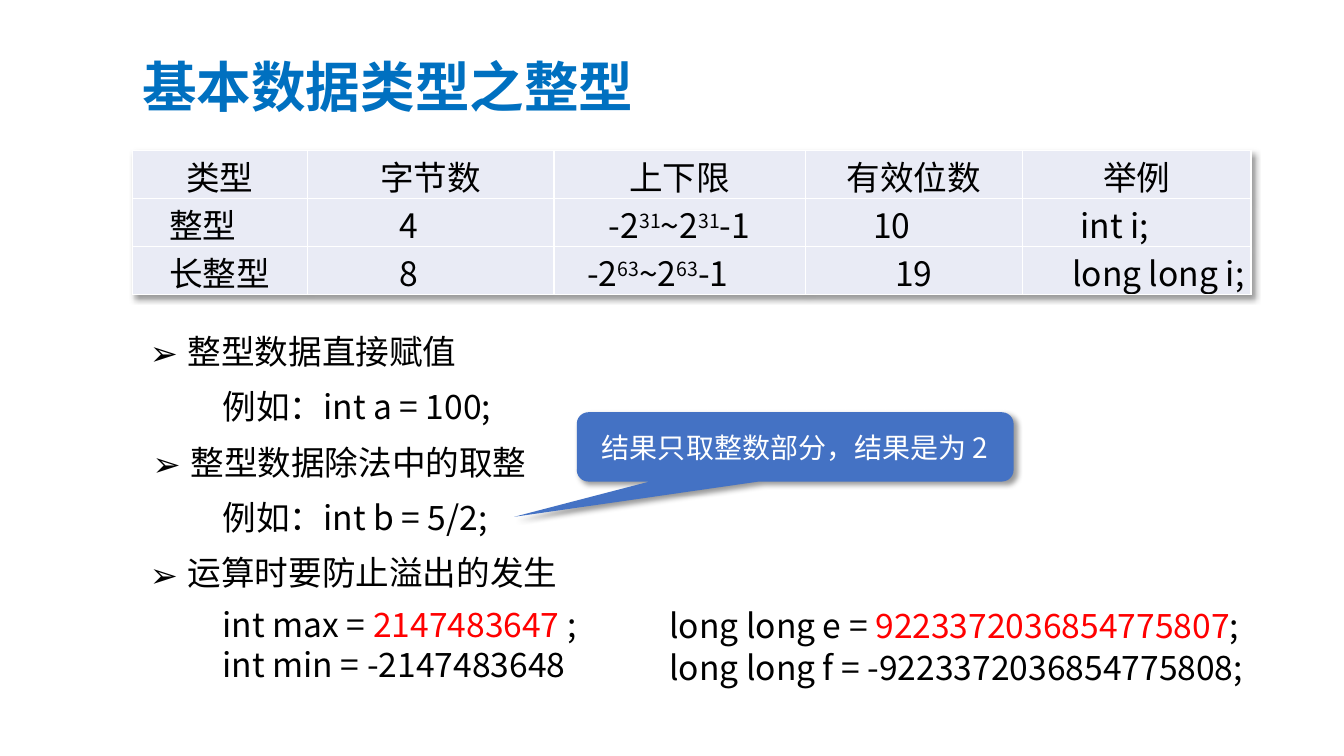
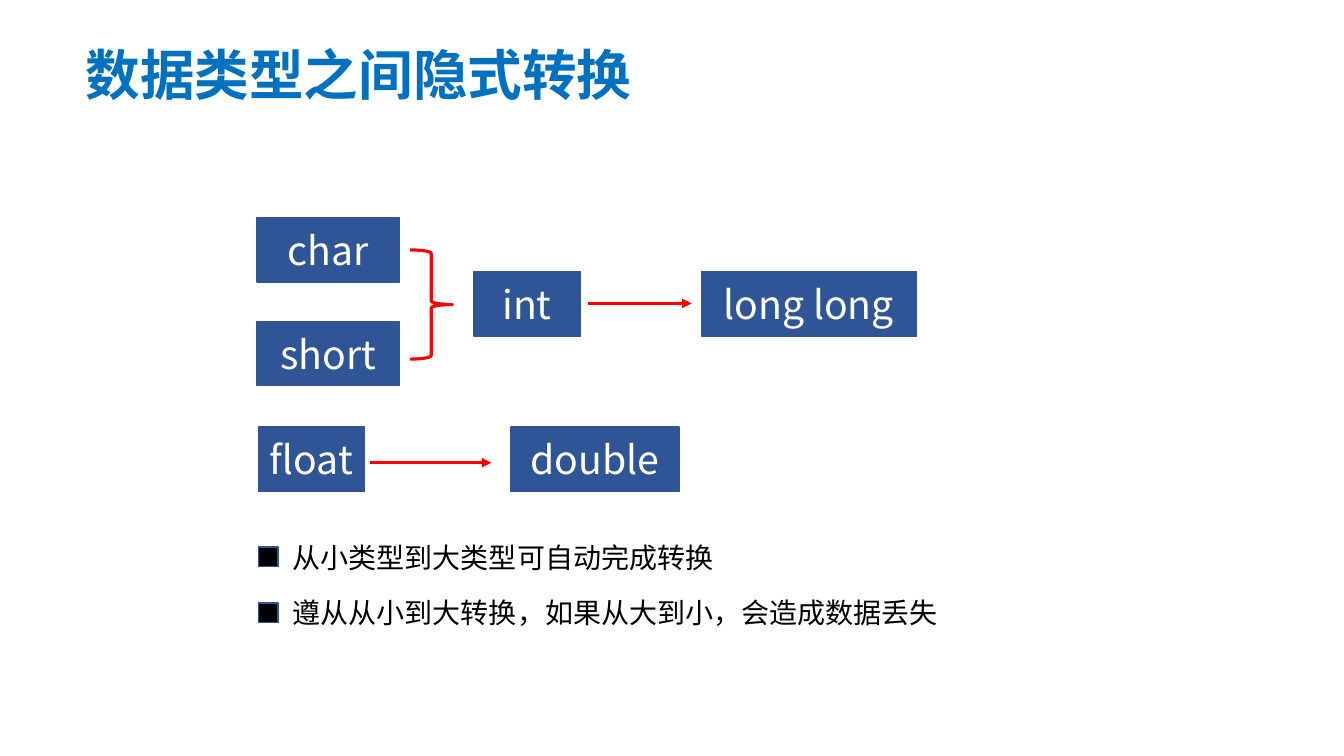
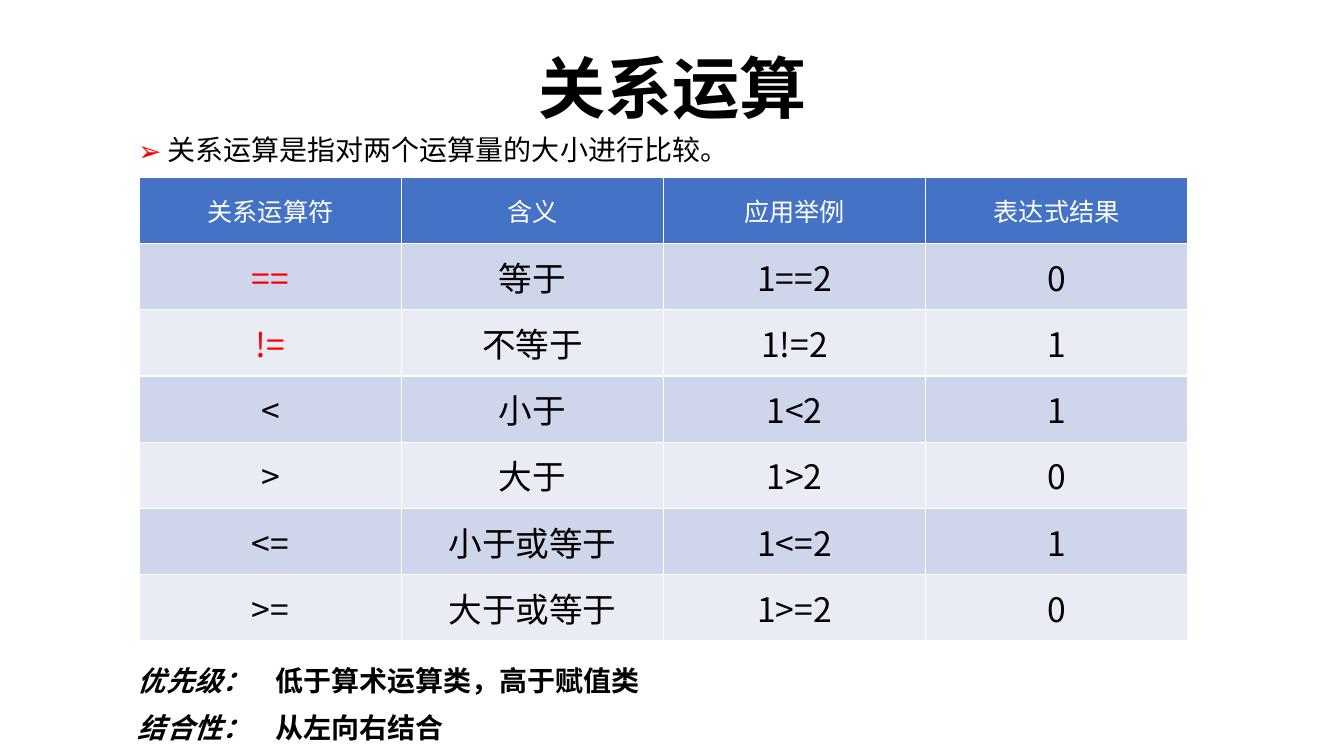
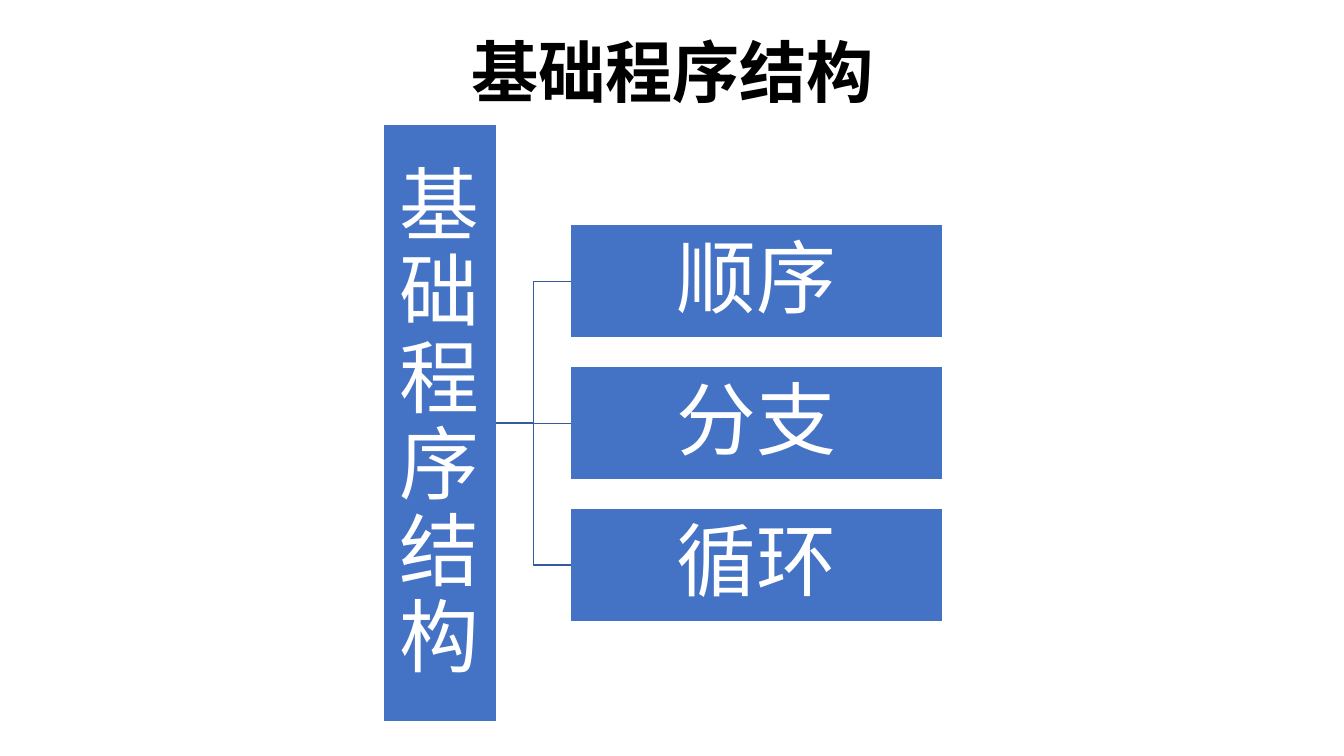
import pptx
import pptx.dml.color
import pptx.enum.shapes
import pptx.enum.text
import pptx.oxml
import pptx.oxml.ns
import pptx.util
from lxml import etree

Pt = pptx.util.Pt
MSO = pptx.enum.shapes.MSO_SHAPE
CONNECTOR = pptx.enum.shapes.MSO_CONNECTOR
ALIGN = pptx.enum.text.PP_ALIGN
ANCHOR = pptx.enum.text.MSO_ANCHOR
qn = pptx.oxml.ns.qn

SANS, HEADING = "Noto Sans CJK SC", "Noto Sans CJK JP"
BLACK, WHITE, RED = "000000", "FFFFFF", "FF0000"
TITLE_BLUE, BLUE, NAVY, EDGE = "0070C0", "4472C4", "2F5597", "325491"
LINK, BAND, PALE = "365B9D", "CFD5EA", "E9EBF5"


def rgb(value):
    return pptx.dml.color.RGBColor.from_string(value)


def sub(parent, tag, **attrs):
    return etree.SubElement(parent, qn(tag), attrs)


# ---- text ----
def style_run(r, size=24, color=BLACK, bold=False, italic=False, font=SANS, sup=False):
    f = r.font
    f.size, f.bold, f.italic, f.name = Pt(size), bold, italic, font
    f.color.rgb = rgb(color)
    rPr = f._element
    sub(rPr, "a:ea", typeface=font)
    if sup:
        rPr.set("baseline", "30000")


def fill_paragraph(p, content, align=ALIGN.LEFT, spacing=None, **style):
    """content is a string or a list of (text, style overrides)."""
    p.alignment = align
    if spacing:
        p.line_spacing = spacing
    runs = [(content, {})] if isinstance(content, str) else content
    for text, change in runs:
        r = p.add_run()
        r.text = text
        style_run(r, **{**style, **change})


def add_text(s, box, *paragraphs, wrap=True, anchor=ANCHOR.TOP, **style):
    tf = s.shapes.add_textbox(*map(Pt, box)).text_frame
    tf.word_wrap = wrap
    tf.vertical_anchor = anchor
    if not wrap:
        tf.auto_size = pptx.enum.text.MSO_AUTO_SIZE.SHAPE_TO_FIT_TEXT
    for i, content in enumerate(paragraphs):
        p = tf.add_paragraph() if i else tf.paragraphs[0]
        fill_paragraph(p, content, **style)
    return tf


def add_bullet(p, indent, color=BLACK):
    pPr = p._p.get_or_add_pPr()
    pPr.set("marL", str(Pt(indent)))
    pPr.set("indent", str(-Pt(indent)))
    sub(sub(pPr, "a:buClr"), "a:srgbClr", val=color)
    sub(pPr, "a:buFont", typeface=SANS)
    sub(pPr, "a:buChar", char="➢")


def left_title(s, box, text):
    add_text(s, box, text, size=39, color=TITLE_BLUE, bold=True)


def centred_title(s, top, text):
    add_text(s, (273, top, 415, 64), text, size=48, bold=True, font=HEADING,
             align=ALIGN.CENTER, spacing=0.9)


# ---- shapes and lines ----
def add_box(s, box, text="", kind=MSO.RECTANGLE, fill=None, line=None, width=1, **style):
    sp = s.shapes.add_shape(kind, *map(Pt, box))
    sp.shadow.inherit = False
    if fill:
        sp.fill.solid()
        sp.fill.fore_color.rgb = rgb(fill)
    else:
        sp.fill.background()
    if line:
        sp.line.color.rgb = rgb(line)
        sp.line.width = Pt(width)
    else:
        sp.line.fill.background()
    if text:
        sp.text_frame.word_wrap = True
        sp.text_frame.vertical_anchor = ANCHOR.MIDDLE
        fill_paragraph(sp.text_frame.paragraphs[0], text,
                       **{"align": ALIGN.CENTER, "color": WHITE, **style})
    return sp


def add_line(s, kind, points, color, width):
    c = s.shapes.add_connector(kind, *map(Pt, points))
    c.line.color.rgb = rgb(color)
    c.line.width = Pt(width)
    sub(c._element.spPr, "a:effectLst")
    return c


def add_arrow(s, x, y, length):
    c = add_line(s, CONNECTOR.STRAIGHT, (x, y, x + length, y), RED, 2.25)
    sub(c.line._get_or_add_ln(), "a:tailEnd", type="triangle")


def add_shadow(effects):
    shadow = sub(effects, "a:outerShdw", blurRad=str(Pt(4)), dist=str(Pt(3)),
                 dir="2700000", algn="tl", rotWithShape="0")
    sub(sub(shadow, "a:srgbClr", val=BLACK), "a:alpha", val="40000")


# ---- tables ----
def new_table(s, x, y, widths, heights):
    frame = s.shapes.add_table(len(heights), len(widths), Pt(x), Pt(y),
                               Pt(sum(widths)), Pt(sum(heights)))
    table = frame.table
    table.first_row = table.horz_banding = False
    for col, width in zip(table.columns, widths):
        col.width = Pt(width)
    for row, height in zip(table.rows, heights):
        row.height = Pt(height)
    return table


def fill_cell(cell, content, fill, **style):
    tcPr = cell._tc.get_or_add_tcPr()
    for side in "LRTB":
        ln = sub(tcPr, "a:ln" + side, w=str(Pt(1)))
        sub(sub(ln, "a:solidFill"), "a:srgbClr", val=WHITE)
    cell.fill.solid()
    cell.fill.fore_color.rgb = rgb(fill)
    cell.vertical_anchor = ANCHOR.MIDDLE
    fill_paragraph(cell.text_frame.paragraphs[0], content, align=ALIGN.CENTER, **style)


# ---- slide 1: integer types ----
def limits(power):
    raised = (power, {"sup": True})
    return [("-2", {}), raised, ("~2", {}), raised, ("-1", {})]


def type_table(s, x, y):
    # Each cell: content, extra left margin, extra right margin
    rows = [
        [(t, 0, 0) for t in ("类型", "字节数", "上下限", "有效位数", "举例")],
        [("整型", 0, 24), ("4", 0, 31), (limits("31"), 0, 0), ("10", 0, 31), ("int i;", 0, 31)],
        [("长整型", 0, 0), ("8", 0, 31), (limits("63"), 0, 31), ("19", 0, 0),
         ("long long i;", 31, 0)],
    ]
    table = new_table(s, x, y, (125, 176.2, 179.5, 155, 163.5), (34.2, 34.4, 34.4))
    tblPr = table._tbl.tblPr
    effects = sub(tblPr, "a:effectLst")
    tblPr.insert(0, effects)
    add_shadow(effects)
    for i, row in enumerate(rows):
        for j, (content, left, right) in enumerate(row):
            cell = table.cell(i, j)
            cell.margin_left, cell.margin_right = Pt(0.7 + left), Pt(0.7 + right)
            cell.margin_top, cell.margin_bottom = Pt(0.7), 0
            fill_cell(cell, content, PALE)


def integer_notes(s, x, y):
    pitch = 39.6
    # Bulleted headings, each with its example below
    for i, (dx, width, text) in enumerate([(0, 240, "整型数据直接赋值"),
                                           (2, 288, "整型数据除法中的取整"),
                                           (0, 312, "运算时要防止溢出的发生")]):
        tf = add_text(s, (x + dx, y + 2 * i * pitch, width, 36), text)
        add_bullet(tf.paragraphs[0], 27)
    for i, text in enumerate(("例如：int a = 100;", "例如：int b = 5/2;")):
        add_text(s, (x + 52, y + (2 * i + 1) * pitch, 216, 36), text, wrap=False)
    # Largest and smallest values
    red = {"color": RED}
    add_text(s, (x + 52, y + 195, 289, 65.5),
             [("int max = ", {}), ("2147483647 ", red), (";", {})],
             "int min = -2147483648", wrap=False)
    add_text(s, (x + 371, y + 194.4, 480, 66),
             [("long long e = ", {}), ("9223372036854775807", red), (";", {})],
             "long long f = -9223372036854775808;", spacing=Pt(30))


def integer_slide(s):
    left_title(s, (94.5, 34, 385, 55), "基本数据类型之整型")
    type_table(s, 94.5, 107.5)
    integer_notes(s, 100, 232.6)
    callout = add_box(s, (412, 294.5, 312, 49.5), "结果只取整数部分，结果是为 2",
                      MSO.ROUNDED_RECTANGULAR_CALLOUT, BLUE, size=20)
    for i, value in enumerate((-0.643, 1.009, 0.167)):
        callout.adjustments[i] = value
    add_shadow(callout._element.spPr.find(qn("a:effectLst")))


# ---- slide 2: implicit conversion ----
def conversion_diagram(s, x, y):
    for dx, dy, width, name in ((0, 0, 102, "char"), (0, 74, 102, "short"),
                                (155, 38.5, 76, "int"), (317.5, 38.5, 153.5, "long long"),
                                (1, 149.5, 76, "float"), (181.5, 149.5, 120, "double")):
        add_box(s, (x + dx, y + dy, width, 46), name, fill=NAVY, line=EDGE, size=28)
    brace = add_box(s, (x + 109.5, y + 23, 30, 78), kind=MSO.LEFT_BRACE, line=RED, width=2.25)
    brace.rotation = 180
    add_arrow(s, x + 236.5, y + 61.2, 74)
    add_arrow(s, x + 80.5, y + 175, 87)


def square_notes(s, x, y, notes):
    for i, text in enumerate(notes):
        top = y + i * 39.8
        add_box(s, (x, top + 8.5, 14, 14), fill=BLACK, line=EDGE)
        add_text(s, (x + 17.5, top, 585, 31.5), text, size=20)


def conversion_slide(s):
    left_title(s, (54, 25.3, 430, 101), "数据类型之间隐式转换")
    conversion_diagram(s, 183.5, 155.5)
    square_notes(s, 184.5, 382.3, ("从小类型到大类型可自动完成转换",
                                   "遵从从小到大转换，如果从大到小，会造成数据丢失"))


# ---- slide 3: relational operators ----
def operator_table(s, x, y):
    rows = [("关系运算符", "含义", "应用举例", "表达式结果"),
            ("==", "等于", "1==2", "0"), ("!=", "不等于", "1!=2", "1"),
            ("<", "小于", "1<2", "1"), (">", "大于", "1>2", "0"),
            ("<=", "小于或等于", "1<=2", "1"), (">=", "大于或等于", "1>=2", "0")]
    table = new_table(s, x, y, [187.2] * 4, [47.3] * 7)
    for i, row in enumerate(rows):
        for j, text in enumerate(row):
            cell = table.cell(i, j)
            if i == 0:
                fill_cell(cell, text, BLUE, size=18, color=WHITE)
            else:
                equality = j == 0 and i <= 2
                fill_cell(cell, text, BAND if i % 2 else PALE,
                          color=RED if equality else BLACK)


def operator_rules(s, box):
    rules = [("优先级：", "低于算术运算类，高于赋值类"), ("结合性：", "从左向右结合")]
    tf = add_text(s, box, *[[(name, {"italic": True}), ("\t" + rule, {})] for name, rule in rules],
                  anchor=ANCHOR.MIDDLE, size=20, bold=True)
    for p, spacing in zip(tf.paragraphs, (2.1, 1.4)):
        p.line_spacing = spacing
        sub(sub(p._p.get_or_add_pPr(), "a:tabLst"), "a:tab", pos=str(Pt(98)), algn="l")


def operator_slide(s):
    centred_title(s, 36, "关系运算")
    tf = add_text(s, (91.5, 80.6, 450, 39.6), "关系运算是指对两个运算量的大小进行比较。",
                  anchor=ANCHOR.MIDDLE, size=20, spacing=1.5)
    add_bullet(tf.paragraphs[0], 21, RED)
    operator_rules(s, (91.5, 445.3, 382, 88.5))
    operator_table(s, 99.6, 126.7)


# ---- slide 4: program structures ----
def structure_tree(s, x, y, name, branches):
    node = dict(fill=BLUE, line=WHITE, size=57)
    width, height, root_height, pitch = 266, 81, 427, 101.3
    root = add_box(s, (x, y, height, root_height), name, spacing=Pt(61.7), **node)
    nodes = [root]
    middle = y + root_height / 2
    for i, text in enumerate(branches):
        offset = (i - (len(branches) - 1) / 2) * pitch
        top = middle + offset - height / 2
        branch = add_box(s, (x + 134, top, width, height), text, spacing=0.9, **node)
        nodes.append(branch)
        kind = CONNECTOR.ELBOW if offset else CONNECTOR.STRAIGHT
        link = add_line(s, kind, (x + height, middle, x + 134, middle + offset), LINK, 1)
        link.begin_connect(root, 3)
        link.end_connect(branch, 1)
    for sp in nodes:
        tf = sp.text_frame
        tf.margin_left = tf.margin_right = tf.margin_top = tf.margin_bottom = Pt(2.9)


def structure_slide(s):
    centred_title(s, 24.5, "基础程序结构")
    structure_tree(s, 273.6, 88.8, "基础程序结构", ("顺序", "分支", "循环"))


def main():
    prs = pptx.Presentation()
    prs.slide_width, prs.slide_height = Pt(960), Pt(540)
    for build in (integer_slide, conversion_slide, operator_slide, structure_slide):
        build(prs.slides.add_slide(prs.slide_layouts[6]))
    prs.save("out.pptx")


if __name__ == "__main__":
    main()
